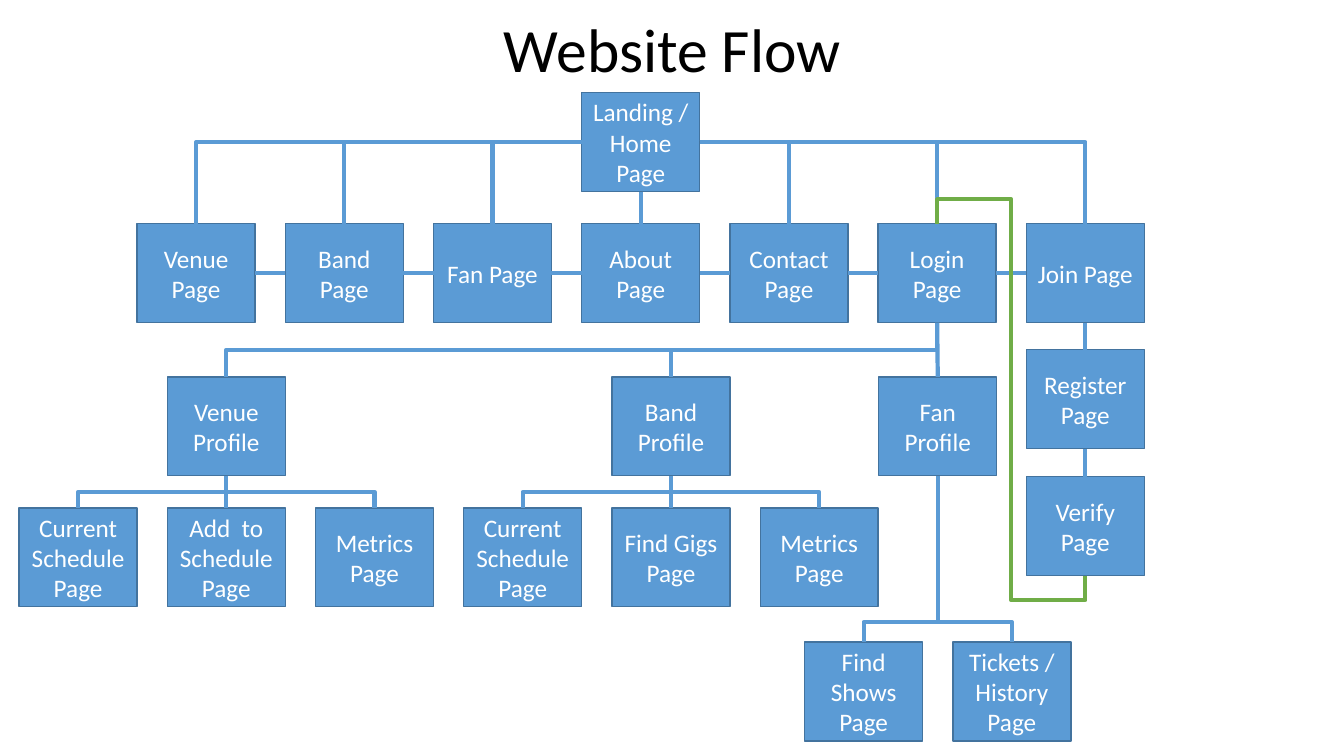
from dataclasses import dataclass
from lxml import etree
from pptx import Presentation
from pptx import util as u
from pptx.dml.color import RGBColor
from pptx.enum import shapes, text
from pptx.oxml.ns import qn


@dataclass(frozen=True)
class Theme:
    font: str = "Calibri"
    blue: str = "5B9BD5"
    edge: str = "43739E"
    green: str = "70AD47"
    white: str = "FFFFFF"
    black: str = "000000"
    head: int = 44
    label: int = 18
    thin: int = 1
    thick: int = 3


T = Theme()
W, H, STEP = 1.17, 0.98, 1.47  # page box size and column pitch
TOP, LEFT, BOTTOM, RIGHT = range(4)
Kind = shapes.MSO_CONNECTOR


def apply(obj, form):
    for key, val in form.items():
        setattr(obj, key, val)


def style(frame, size, color, **extra):
    for par in frame.paragraphs:
        apply(par, {"alignment": text.PP_ALIGN.CENTER, **extra})
        for run in par.runs:
            apply(run.font, {"name": T.font, "size": u.Pt(size)})
            run.font.color.rgb = RGBColor.from_string(color)


def page(slide, x, y, words):
    """Add one page box with its label."""
    box = slide.shapes.add_shape(
        shapes.MSO_SHAPE.RECTANGLE, *map(u.Inches, (x, y, W, H)))
    box.shadow.inherit = False
    box.fill.solid()
    box.fill.fore_color.rgb = RGBColor.from_string(T.blue)
    box.line.color.rgb = RGBColor.from_string(T.edge)
    box.line.width = u.Pt(T.thin)
    frame = box.text_frame
    frame.text = words
    apply(frame, {"word_wrap": True, "vertical_anchor": text.MSO_ANCHOR.MIDDLE})
    style(frame, T.label, T.white)
    return box


def row(slide, x, y, names):
    return [page(slide, x + i * STEP, y, name) for i, name in enumerate(names)]


def side(box, num):
    """Middle of a box side."""
    x, y = box.left + box.width // 2, box.top + box.height // 2
    return {TOP: (x, box.top), LEFT: (box.left, y),
            BOTTOM: (x, box.top + box.height), RIGHT: (box.left + box.width, y)}[num]


def wire(slide, kind, start, end, color=T.blue):
    con = slide.shapes.add_connector(kind, *map(int, (*start, *end)))
    con.line.color.rgb = RGBColor.from_string(color)
    con.line.width = u.Pt(T.thick)
    etree.SubElement(con._element.spPr, qn("a:effectLst"))
    return con


def link(slide, a, i, b, j):
    """Join two box sides by a straight line."""
    con = wire(slide, Kind.STRAIGHT, side(a, i), side(b, j))
    con.begin_connect(a, i)
    con.end_connect(b, j)


def shape(con, preset, bends=()):
    geom = con._element.spPr.find(qn("a:prstGeom"))
    geom.set("prst", preset)
    for i, part in enumerate(bends, 1):
        etree.SubElement(geom.find(qn("a:avLst")), qn("a:gd"),
                         name=f"adj{i}", fmla=f"val {round(part * 100000)}")


def drop(slide, start, end, bends=(0.5,), color=T.blue):
    """Elbow that leaves and arrives vertically: a quarter-turned connector."""
    (x1, y1), (x2, y2) = start, end
    x, y, dx, dy = (x1 + x2) / 2, (y1 + y2) / 2, (x2 - x1) / 2, (y2 - y1) / 2
    con = wire(slide, Kind.ELBOW, (x - dy, y + dx), (x + dy, y - dx), color)
    con._element.spPr.find(qn("a:xfrm")).set("rot", "5400000")
    shape(con, f"bentConnector{len(bends) + 2}", bends)


def fan_out(slide, root, kids, bend=0.5):
    """Connect a box to the boxes below it."""
    for kid in kids:
        if abs(side(kid, TOP)[0] - side(root, BOTTOM)[0]) < u.Inches(0.01):
            link(slide, root, BOTTOM, kid, TOP)
        else:
            drop(slide, side(root, BOTTOM), side(kid, TOP), (bend,))


def title(slide, x, y, w, h):
    head = slide.shapes.title
    apply(head, dict(zip(("left", "top", "width", "height"),
                         map(u.Inches, (x, y, w, h)))))
    head.text_frame.text = "Website Flow"
    head.text_frame.vertical_anchor = text.MSO_ANCHOR.MIDDLE
    style(head.text_frame, T.head, T.black, line_spacing=0.9)


def menu(slide, x, y):
    """Home page over the row of main pages."""
    home = page(slide, x + 3 * STEP, y, "Landing / Home Page")
    tabs = row(slide, x, y + 1.3, (
        "Venue Page", "Band\nPage", "Fan Page", "About Page",
        "Contact Page", "Login Page", "Join Page"))
    for i, tab in enumerate(tabs):
        if i == 3:
            link(slide, home, BOTTOM, tab, TOP)
        else:
            con = wire(slide, Kind.ELBOW,
                       side(home, LEFT if i < 3 else RIGHT), side(tab, TOP))
            shape(con, "bentConnector2")
    for a, b in zip(tabs, tabs[1:]):
        link(slide, b, LEFT, a, RIGHT)
    return tabs[-2:]


def signup(slide, x, y, login, join):
    """Registration steps that lead back to login."""
    steps = [join] + [page(slide, x, y + i * 1.26, name)
                      for i, name in enumerate(("Register Page", "Verify Page"))]
    for a, b in zip(steps, steps[1:]):
        link(slide, b, TOP, a, BOTTOM)
    drop(slide, side(steps[-1], BOTTOM), side(login, TOP),
         (-0.07, 0.5, 1.07), T.green)


def profiles(slide, x, y, login):
    """Profiles below login, each with its own pages."""
    trees = (
        (1, 0, 1.3, 0.5, "Venue Profile",
         ("Current Schedule\vPage", "Add  to Schedule\vPage", "Metrics Page")),
        (4, 3, 1.3, 0.5, "Band Profile",
         ("Current Schedule\vPage", "Find Gigs Page", "Metrics Page")),
        (5.8, 5.3, 2.63, 0.88, "Fan Profile",
         ("Find Shows Page", "Tickets / History Page")),
    )
    roots = []
    for col, first, down, bend, name, leaves in trees:
        root = page(slide, x + col * STEP, y, name)
        kids = row(slide, x + first * STEP, y + down, leaves)
        fan_out(slide, root, kids, bend)
        roots.append(root)
    fan_out(slide, login, roots)


def main():
    deck = Presentation()
    deck.slide_width, deck.slide_height = u.Inches(13.33), u.Inches(7.5)
    slide = deck.slides.add_slide(deck.slide_layouts[5])
    title(slide, 0.92, 0.12, 11.5, 0.8)
    login, join = menu(slide, 1.36, 0.92)
    profiles(slide, 0.19, 3.74, login)
    signup(slide, 10.18, 3.47, login, join)
    deck.save("out.pptx")


if __name__ == "__main__":
    main()
